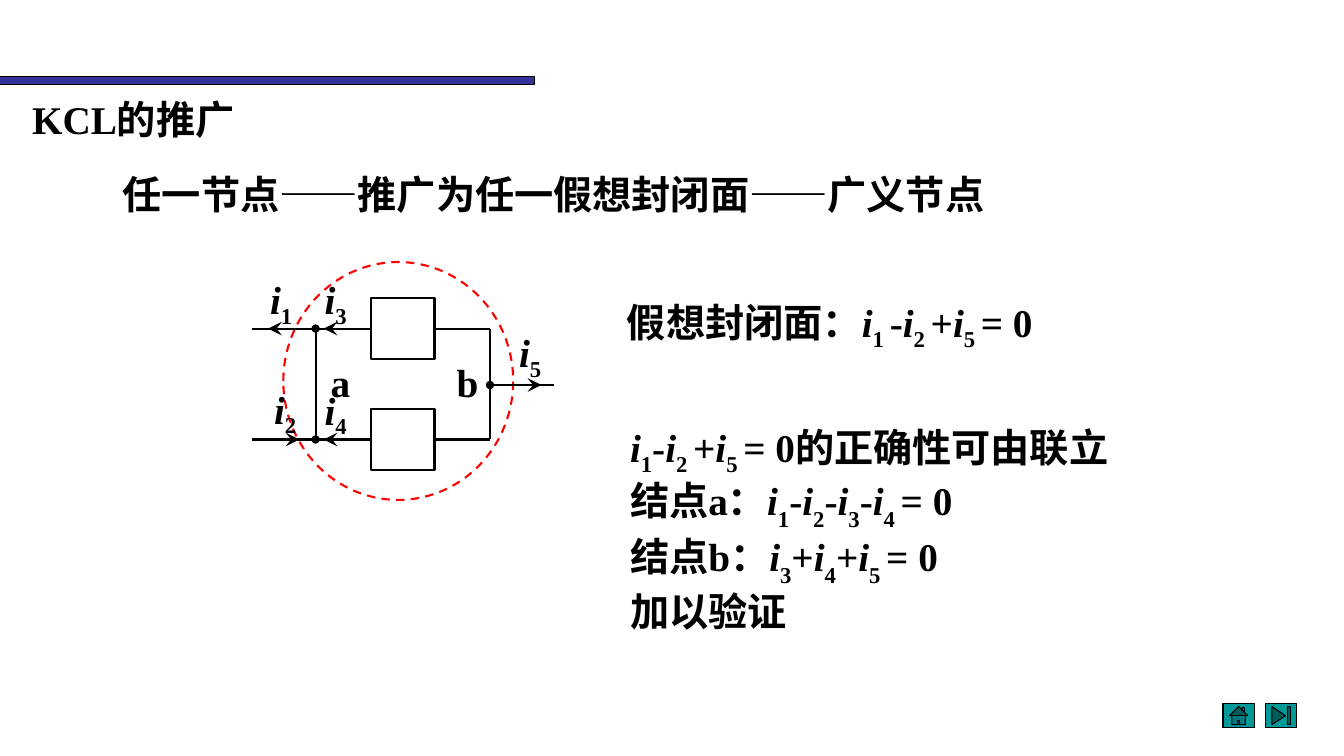
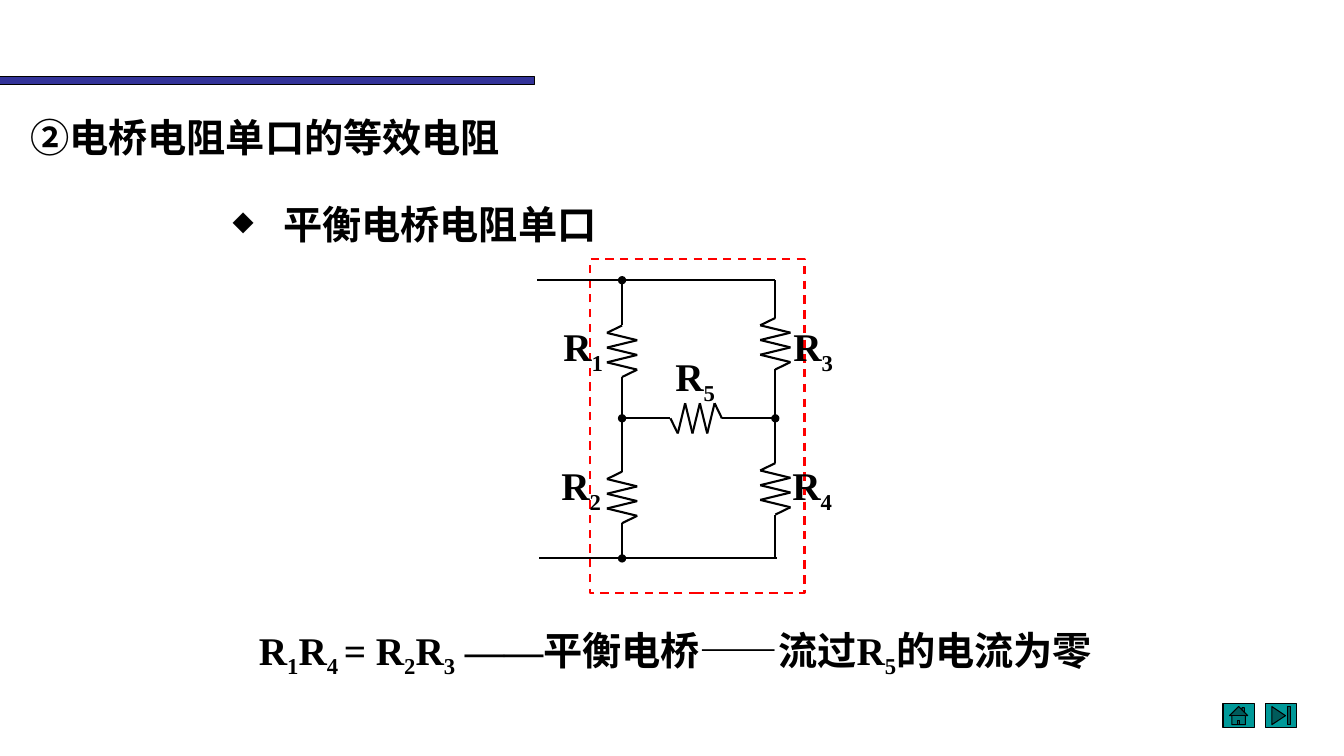
"""Build two circuit theory slides: the extended current law and the balanced bridge."""
from lxml import etree
from pptx import Presentation
from pptx.dml.color import RGBColor
from pptx.enum.dml import MSO_LINE
from pptx.enum.shapes import MSO_CONNECTOR, MSO_SHAPE
from pptx.enum.text import MSO_AUTO_SIZE
from pptx.oxml.ns import qn
from pptx.util import Inches, Pt

RECTANGLE = MSO_SHAPE.RECTANGLE
OVAL = MSO_SHAPE.OVAL
HOME = MSO_SHAPE.ACTION_BUTTON_HOME
END = MSO_SHAPE.ACTION_BUTTON_END
STRAIGHT = MSO_CONNECTOR.STRAIGHT
DASH = MSO_LINE.DASH
GROW = MSO_AUTO_SIZE.SHAPE_TO_FIT_TEXT

CELL = Inches(0.1)
COLUMNS, ROWS = 133.3, 75
BLACK, RED, NAVY, TEAL = "000000", "FF0000", "333399", "009999"
FONT = "Times New Roman"
TEXT_SIZE = Pt(28)
STROKE = Pt(1.5)
BASELINES = {"_": "-25000", "~": "-30000"}
END_SIZES = {"oval": "med", "stealth": "lg"}
LABEL_HEIGHT = 5.7
color = RGBColor.from_string


def add_text(page, place, lines, wrap=True, bullet=None):
    """Add bold text; | parts the spans, _ and ~ lower one, a lone i is italic."""
    box = page.shapes.add_textbox(*(int(length * CELL) for length in place))
    frame = box.text_frame
    frame.word_wrap = wrap
    frame.auto_size = GROW
    for index, line in enumerate(lines):
        para = frame.add_paragraph() if index else frame.paragraphs[0]
        if bullet:
            properties = para._p.get_or_add_pPr()
            properties.set("marL", str(5 * CELL))
            properties.set("indent", str(-5 * CELL))
            etree.SubElement(properties, qn("a:buSzPct"), val="70000")
            etree.SubElement(properties, qn("a:buChar"), char=bullet)
        for piece in line.split("|"):
            span = para.add_run()
            span.text = piece.lstrip("_~")
            font = span.font
            font.name, font.size, font.bold = FONT, TEXT_SIZE, True
            font.italic = piece == "i"
            font.color.rgb = color(BLACK)
            if piece[0] in BASELINES:
                properties = span._r.get_or_add_rPr()
                properties.set("baseline", BASELINES[piece[0]])


def add_line(page, start, end, head=None, tail=None):
    """Add a black wire with optional ends and return it."""
    wire = page.shapes.add_connector(
        STRAIGHT, *(int(length * CELL) for length in (*start, *end)))
    wire.line.width = STROKE
    wire.line.color.rgb = color(BLACK)
    properties = wire.element.spPr
    outline = properties.find(qn("a:ln"))
    for tag, style in (("a:headEnd", head), ("a:tailEnd", tail)):
        if style:
            size = END_SIZES[style]
            etree.SubElement(outline, qn(tag), type=style, w=size, len=size)
    etree.SubElement(properties, qn("a:effectLst"))
    return wire


deck = Presentation()
deck.slide_width = int(COLUMNS * CELL)
deck.slide_height = int(ROWS * CELL)
law, bridge = (deck.slides.add_slide(deck.slide_layouts[6]) for _ in range(2))

UPPER, LOWER = 32.6, 43.6
MIDDLE = 38.2
TERMINAL, NODE_A, BOX_LEFT, BOX_RIGHT, NODE_B = 25, 31.3, 36.8, 43.1, 48.6
BOX_HEIGHT = 6.1

frame_shapes = [
    (RECTANGLE, (0, 7.6, 53, 0.8), NAVY),
    (HOME, (121.3, 69.8, 3.1, 2.4), TEAL),
    (END, (125.5, 69.8, 3.1, 2.4), TEAL),
]
shapes = [(page, kind, place, fill, BLACK, Pt(0.75), None)
          for page in (law, bridge) for kind, place, fill in frame_shapes]
shapes += [
    (law, OVAL, (28.1, 26, 22.8, 23.6), None, RED, STROKE, DASH),
    (bridge, RECTANGLE, (58.5, 25.7, 21.3, 33.1), None, RED, STROKE, DASH),
]
shapes += [(law, RECTANGLE,
            (BOX_LEFT, row - BOX_HEIGHT / 2, BOX_RIGHT - BOX_LEFT, BOX_HEIGHT),
            None, BLACK, STROKE, None) for row in (UPPER, LOWER)]
drawn = []
for page, kind, place, fill, line_color, weight, dash in shapes:
    shape = page.shapes.add_shape(kind, *(int(length * CELL) for length in place))
    shape.shadow.inherit = False
    if fill:
        shape.fill.solid()
        shape.fill.fore_color.rgb = color(fill)
    else:
        shape.fill.background()
    shape.line.color.rgb = color(line_color)
    shape.line.width = weight
    if dash:
        shape.line.dash_style = dash
    drawn.append(shape)

for row, element in zip((UPPER, LOWER), drawn[-2:]):
    add_line(law, (TERMINAL, row), (BOX_LEFT, row)).end_connect(element, 1)
    add_line(law, (BOX_RIGHT, row), (NODE_B, row)).begin_connect(element, 3)
add_line(law, (NODE_A, UPPER), (NODE_A, LOWER), "oval", "oval")
add_line(law, (NODE_B, UPPER), (NODE_B, LOWER))
add_line(law, (NODE_B, MIDDLE), (54.9, MIDDLE), "oval")

currents = [
    ("1", 29.7, 26.6, UPPER, (25.8, 26.8)),
    ("3", 35.2, 32.1, UPPER, (31.2, 26.8)),
    ("2", 26.6, 29.7, LOWER, (26.2, 37.7)),
    ("4", 35.2, 32.1, LOWER, (31.2, 37.8)),
    ("5", 50.5, 53.7, MIDDLE, (50.5, 32.1)),
]
for number, start, end, row, corner in currents:
    add_line(law, (start, row), (end, row), tail="stealth")
    add_text(law, (*corner, 5.5, LABEL_HEIGHT), [f"i|_{number}"])
add_text(law, (31.8, 35.1, 4, LABEL_HEIGHT), ["a"], wrap=False)
add_text(law, (44.3, 35.1, 4.2, LABEL_HEIGHT), ["b"])

add_text(law, (2.2, 9, 36.6, LABEL_HEIGHT), ["KCL的推广"])
add_text(law, (11.2, 16.4, 92, LABEL_HEIGHT),
         ["任一节点——推广为任一假想封闭面——广义节点"])
add_text(law, (61.2, 29.1, 48, LABEL_HEIGHT),
         ["假想封闭面：|i|_1 |-|i|_2 |+|i|_5 |= 0"])
add_text(law, (61.5, 41.5, 55.9, 19.7), [
    "i|_1|-|i|_2 |+|i|_5 |= 0的正确性可由联立",
    "结点a：|i|~1|-|i|~2|-|i|~3|-|i|~4 |= 0",
    "结点b：|i|~3|+|i|~4|+|i|~5 |= 0",
    "加以验证",
])

LEFT, RIGHT = 61.7, 76.9
TOP, CENTER, BOTTOM = 27.8, 41.5, 55.4
STEP, SWING = 0.73, 1.5
TURNS = (0, -1, 1, -1, 1, -1, 1, 0)
HALF = STEP * (len(TURNS) - 1) / 2

for row, start, end in ((TOP, 53.3, RIGHT), (BOTTOM, 53.5, RIGHT + 0.2)):
    add_line(bridge, (start, row), (end, row))

resistors = [
    ("1", (LEFT, TOP), (LEFT, CENTER), 34.85, "oval", None, (54.9, 31.5)),
    ("2", (LEFT, CENTER), (LEFT, BOTTOM), 49.35, None, "oval", (54.7, 45.3)),
    ("3", (RIGHT, TOP), (RIGHT, CENTER), 34.1, None, None, (77.7, 31.5)),
    ("4", (RIGHT, CENTER), (RIGHT, BOTTOM), 48.5, None, None, (77.6, 45.3)),
    ("5", (LEFT, CENTER), (RIGHT, CENTER), 69.05, "oval", "oval", (66, 34.5)),
]
for number, start, end, middle, head, tail, corner in resistors:
    vertical = start[0] == end[0]
    points = []
    for index, turn in enumerate(TURNS):
        along = middle - HALF + index * STEP
        if vertical:
            points.append((start[0] + turn * SWING, along))
        else:
            points.append((along, start[1] - turn * SWING))
    add_line(bridge, start, points[0], head=head)
    for point, following in zip(points, points[1:]):
        add_line(bridge, point, following)
    add_line(bridge, points[-1], end, tail=tail)
    add_text(bridge, (*corner, 6.1, LABEL_HEIGHT), [f"R|_{number}"], wrap=False)

add_text(bridge, (2, 10.8, 70.9, LABEL_HEIGHT), ["②电桥电阻单口的等效电阻"])
add_text(bridge, (22.1, 19.4, 70.9, LABEL_HEIGHT), ["平衡电桥电阻单口"], bullet="◆")
add_text(bridge, (24.7, 61.6, 86.6, LABEL_HEIGHT),
         ["R|_1|R|_4 |= R|_2|R|_3| ——平衡电桥——流过R|_5|的电流为零"])

deck.save("out.pptx")
